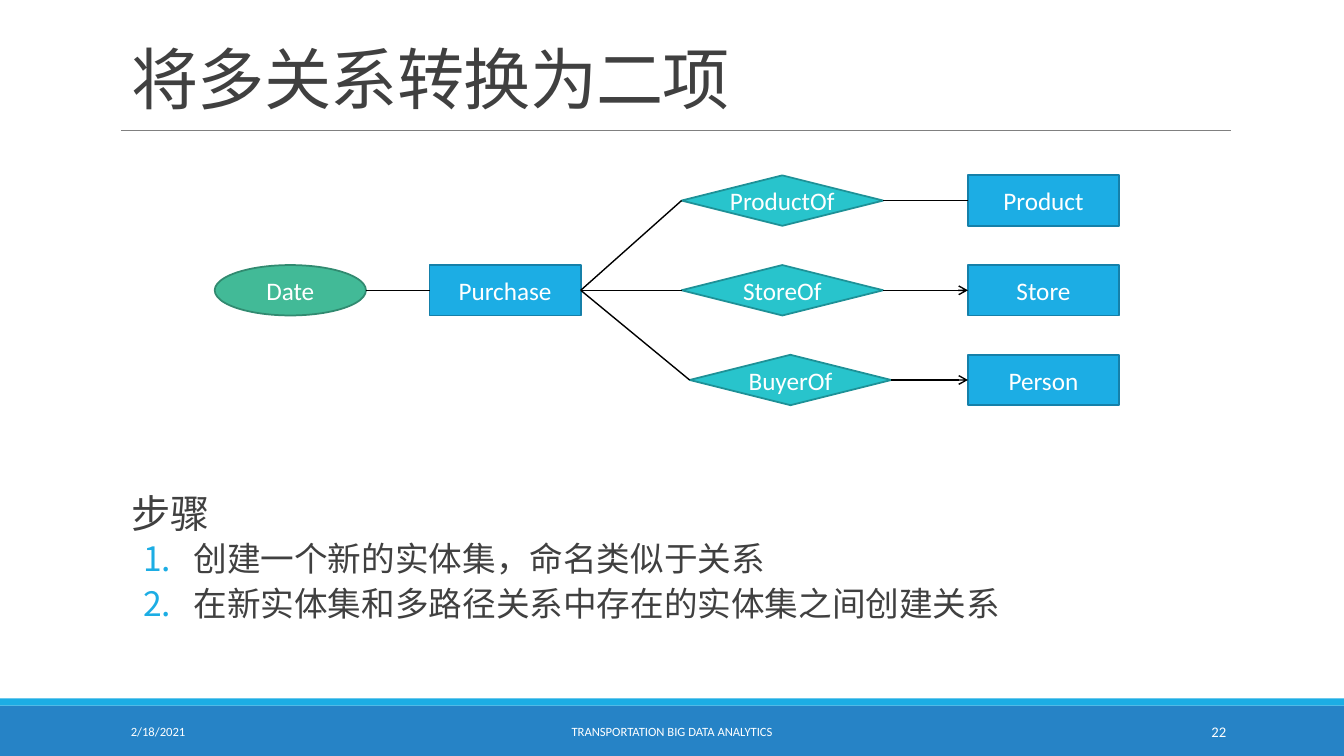
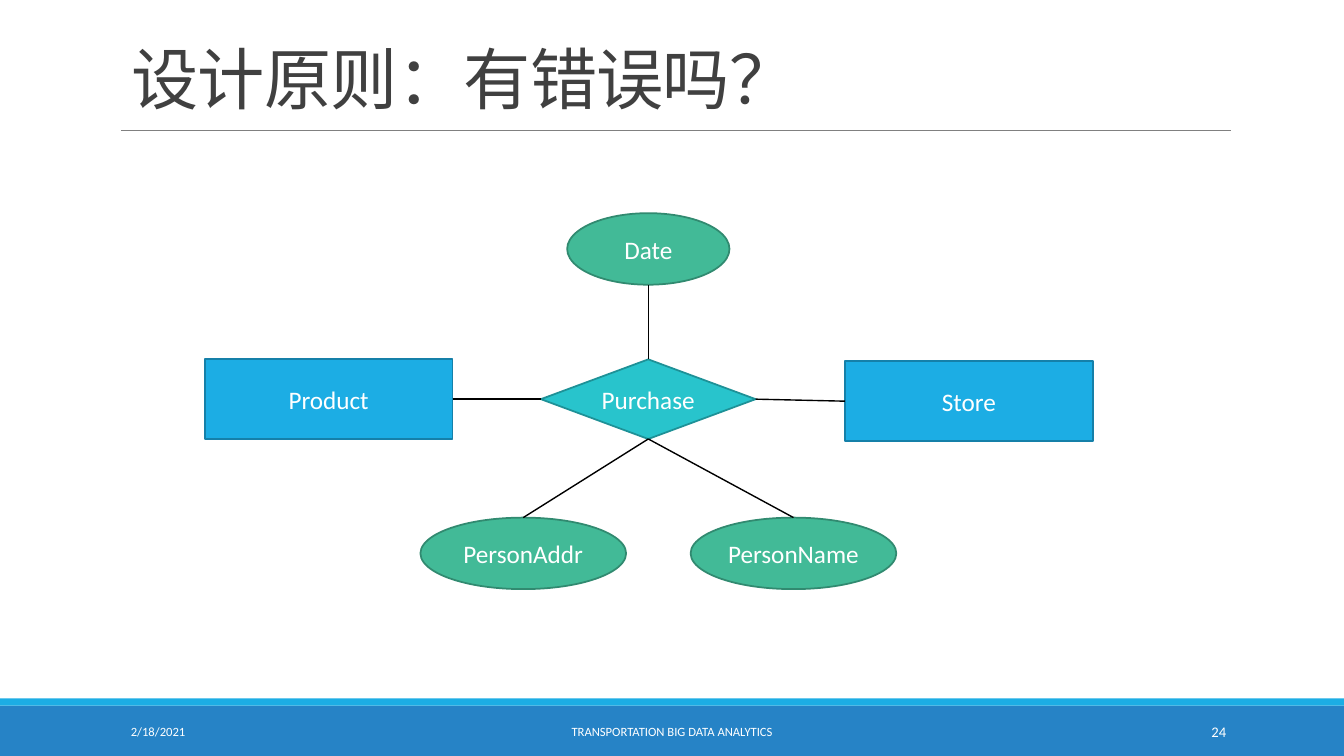
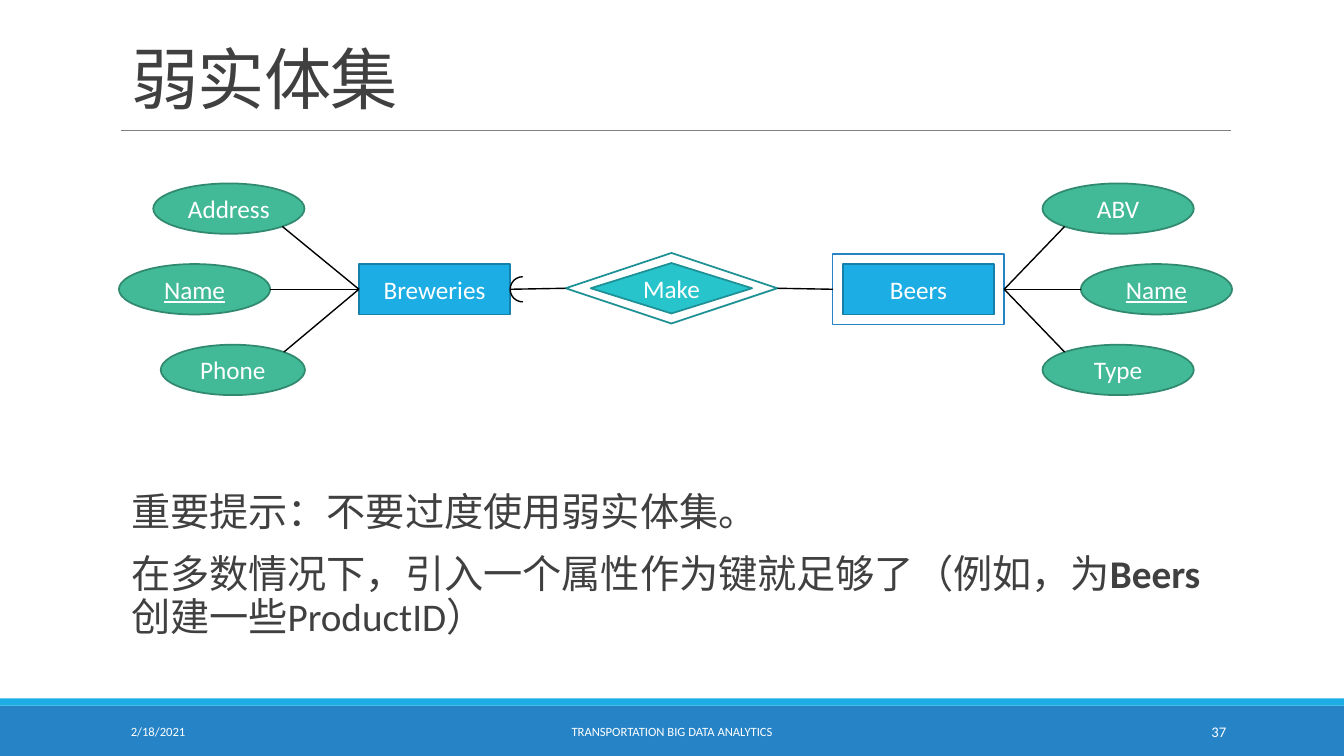
from dataclasses import dataclass
from math import sqrt

from lxml.etree import SubElement
from pptx import Presentation
from pptx.dml.color import RGBColor
from pptx.enum.shapes import MSO_CONNECTOR, MSO_SHAPE
from pptx.enum.text import MSO_ANCHOR as Anchor, PP_ALIGN as Align
from pptx.oxml.ns import qn
from pptx.util import Inches, Pt

SLIDE_WIDTH, SLIDE_HEIGHT = 13.33, 7.5
MARGIN, CONTENT_WIDTH = 1.2, 11
FONT = "Calibri"
COLORS = {
    "entity": "1CADE4", "entity_line": "1580A9",
    "relation": "28C4CC", "relation_line": "1E9197",
    "attribute": "42BA97", "attribute_line": "318A70",
    "band": "2683C6", "strip": "1CADE4", "rule": "808080",
    "text": "404040", "white": "FFFFFF", "link": "000000",
}
NODE_SHAPES = {
    "entity": MSO_SHAPE.RECTANGLE,
    "relation": MSO_SHAPE.DIAMOND,
    "attribute": MSO_SHAPE.OVAL,
}
# Direction from a node's centre, in half widths and half heights
DIAGONAL = 1 / sqrt(2)
SIDES = {
    "left": (-1, 0), "right": (1, 0), "top": (0, -1), "bottom": (0, 1),
    "top left": (-DIAGONAL, -DIAGONAL), "top right": (DIAGONAL, -DIAGONAL),
    "bottom left": (-DIAGONAL, DIAGONAL), "bottom right": (DIAGONAL, DIAGONAL),
}


@dataclass
class Node:
    x: float
    y: float
    width: float
    height: float

    def side(self, name):
        across, down = SIDES[name]
        return self.x + across * self.width / 2, self.y + down * self.height / 2


def rgb(name):
    return RGBColor.from_string(COLORS[name])


def style(run, size, color, bold=False, underline=False):
    font = run.font
    font.name, font.size, font.color.rgb = FONT, Pt(size), rgb(color)
    font.bold, font.underline = bold, underline


def add_shape(slide, kind, box, fill=None, line=None, line_width=1.25):
    shape = slide.shapes.add_shape(kind, *map(Inches, box))
    shape.shadow.inherit = False
    if fill:
        shape.fill.solid()
        shape.fill.fore_color.rgb = rgb(fill)
    else:
        shape.fill.background()
    if line:
        shape.line.color.rgb = rgb(line)
        shape.line.width = Pt(line_width)
    else:
        shape.line.fill.background()
    return shape


def add_line(slide, start, end, color="link", width=1, arrow=False):
    points = map(Inches, (*start, *end))
    connector = slide.shapes.add_connector(MSO_CONNECTOR.STRAIGHT, *points)
    connector.line.color.rgb = rgb(color)
    connector.line.width = Pt(width)
    properties = connector._element.spPr
    if arrow:
        SubElement(properties.find(qn("a:ln")), qn("a:tailEnd"), type="arrow")
    SubElement(properties, qn("a:effectLst"))


class Diagram:
    """Entity diagram whose nodes are centred at offsets from left and top."""

    def __init__(self, slide, left, top):
        self.slide, self.left, self.top = slide, left, top

    def node(self, kind, text, x, y, width=1.5, height=0.5, key=False, line_width=1.25):
        node = Node(self.left + x, self.top + y, width, height)
        box = (*self.corner(node), width, height)
        shape = add_shape(self.slide, NODE_SHAPES[kind], box, kind, kind + "_line", line_width)
        frame = shape.text_frame
        frame.text = text
        frame.word_wrap = False
        frame.vertical_anchor = Anchor.MIDDLE
        frame.paragraphs[0].alignment = Align.CENTER
        style(frame.paragraphs[0].runs[0], 18, "white", underline=key)
        return node

    def outline(self, kind, node, gap_x, gap_y, line, line_width=1.25):
        outer = Node(node.x, node.y, node.width + 2 * gap_x, node.height + 2 * gap_y)
        box = (*self.corner(outer), outer.width, outer.height)
        add_shape(self.slide, NODE_SHAPES[kind], box, line=line, line_width=line_width)
        return outer

    def link(self, first, first_side, second, second_side, arrow=False):
        add_line(self.slide, first.side(first_side), second.side(second_side), arrow=arrow)

    @staticmethod
    def corner(node):
        return node.x - node.width / 2, node.y - node.height / 2


# Title, bands and footer
def add_title(slide, text):
    title = slide.shapes.title
    title.left, title.top = Inches(MARGIN), Inches(0.13)
    title.width, title.height = Inches(CONTENT_WIDTH), Inches(1.09)
    frame = title.text_frame
    frame.text = text
    frame.word_wrap = True
    frame.vertical_anchor = Anchor.BOTTOM
    paragraph = frame.paragraphs[0]
    paragraph.alignment, paragraph.line_spacing = Align.LEFT, 0.85
    style(paragraph.runs[0], 48, "text")
    paragraph.runs[0]._r.get_or_add_rPr().set("spc", "-50")
    add_line(slide, (MARGIN, 1.29), (12.21, 1.29), "rule", 0.5)


def add_footer(slide, number):
    band_top, strip_height = 7, 0.07
    add_shape(slide, MSO_SHAPE.RECTANGLE,
              (0, band_top, SLIDE_WIDTH, SLIDE_HEIGHT - band_top), "band")
    add_shape(slide, MSO_SHAPE.RECTANGLE,
              (0, band_top - strip_height, SLIDE_WIDTH, strip_height), "strip")
    for text, left, width, size, alignment in (
        ("2/18/2021", MARGIN, 2.7, 9, Align.LEFT),
        ("TRANSPORTATION BIG DATA ANALYTICS", 4.03, 5.27, 9, Align.CENTER),
        (str(number), 10.83, 1.43, 10.5, Align.RIGHT),
    ):
        box = map(Inches, (left, band_top + 0.06, width, 0.4))
        frame = slide.shapes.add_textbox(*box).text_frame
        frame.text = text
        frame.word_wrap = True
        frame.vertical_anchor = Anchor.MIDDLE
        frame.paragraphs[0].alignment = alignment
        style(frame.paragraphs[0].runs[0], size, "white")


def new_slide(presentation, title, number):
    slide = presentation.slides.add_slide(presentation.slide_layouts[5])
    add_title(slide, title)
    add_footer(slide, number)
    return slide


# Body text: each paragraph is (numbered, [(text, bold), ...])
def add_body(slide, top, height, paragraphs):
    box = map(Inches, (MARGIN, top, CONTENT_WIDTH, height))
    frame = slide.shapes.add_textbox(*box).text_frame
    frame.word_wrap = True
    frame.margin_left = frame.margin_right = 0
    for index, (numbered, runs) in enumerate(paragraphs):
        paragraph = frame.add_paragraph() if index else frame.paragraphs[0]
        properties = paragraph._p.get_or_add_pPr()
        properties.set("marL", str(Inches(0.72 if numbered else 0.1)))
        if numbered:
            properties.set("indent", str(Inches(-0.5)))
            bullet_color = SubElement(properties, qn("a:buClr"))
            SubElement(bullet_color, qn("a:srgbClr"), val=COLORS["entity"])
            SubElement(properties, qn("a:buFont"), typeface=FONT)
            SubElement(properties, qn("a:buAutoNum"), type="arabicPeriod")
        paragraph.line_spacing = 0.9
        if index:
            paragraph.space_before = Pt(2 if numbered else 12)
        paragraph.space_after = Pt(4 if numbered else 2)
        for text, bold in runs:
            run = paragraph.add_run()
            run.text = text
            style(run, 24 if numbered else 28, "text", bold)


# Purchase as an entity with three binary relations
def draw_binary_relations(slide, left, top):
    diagram = Diagram(slide, left, top)
    row_pitch, first_row = 0.89, 0.25
    middle = first_row + row_pitch
    date = diagram.node("attribute", "Date", 0.75, middle)
    purchase = diagram.node("entity", "Purchase", 2.88, middle)
    diagram.link(date, "right", purchase, "left")
    for row, (relation_name, entity_name, x, arrow) in enumerate((
        ("ProductOf", "Product", 5.63, False),
        ("StoreOf", "Store", 5.63, True),
        ("BuyerOf", "Person", 5.71, True),
    )):
        y = first_row + row * row_pitch
        relation = diagram.node("relation", relation_name, x, y, 2)
        entity = diagram.node("entity", entity_name, 8.22, y)
        diagram.link(purchase, "right", relation, "left")
        diagram.link(relation, "right", entity, "left", arrow)


# Purchase as a relation that carries the person's attributes
def draw_purchase_relation(slide, left, top):
    diagram = Diagram(slide, left, top)
    centre, middle, bottom = 4.4, 1.85, 3.38
    purchase = diagram.node("relation", "Purchase", centre, middle, 2.13, 0.79)
    product = diagram.node("entity", "Product", 1.23, middle, 2.46, 0.79)
    store = diagram.node("entity", "Store", 7.58, middle + 0.02, 2.46, 0.79)
    diagram.link(product, "right", purchase, "left")
    diagram.link(purchase, "right", store, "left")
    for name, x, y, width, side, opposite in (
        ("Date", centre, 0.36, 1.61, "top", "bottom"),
        ("PersonAddr", 3.16, bottom, 2.04, "bottom", "top"),
        ("PersonName", 5.84, bottom, 2.04, "bottom", "top"),
    ):
        attribute = diagram.node("attribute", name, x, y, width, 0.71)
        diagram.link(purchase, side, attribute, opposite)


# Weak entity with double outlines
def draw_weak_entity(slide, left, top):
    diagram = Diagram(slide, left, top)
    rows = [0.25 + 0.8 * row for row in range(3)]
    breweries = diagram.node("entity", "Breweries", 3.13, rows[1], line_width=1)
    make = diagram.node("relation", "Make", 5.48, rows[1] - 0.01, 1.6)
    beers = diagram.node("entity", "Beers", 7.93, rows[1], line_width=1)
    make_outline = diagram.outline("relation", make, 0.25, 0.1, "relation_line")
    beers_outline = diagram.outline("entity", beers, 0.1, 0.1, "band", 1)
    diagram.link(breweries, "right", make_outline, "left")
    diagram.link(make_outline, "right", beers_outline, "left")

    for owner, side, facing, attributes in (
        (breweries, "left", "right",
         (("Address", 1.09, 1.5), ("Name", 0.75, 1.5), ("Phone", 1.13, 1.43))),
        (beers_outline, "right", "left",
         (("ABV", 9.91, 1.5), ("Name", 10.29, 1.5), ("Type", 9.91, 1.5))),
    ):
        facing_sides = ("bottom " + facing, facing, "top " + facing)
        for (name, x, width), y, facing_side in zip(attributes, rows, facing_sides):
            attribute = diagram.node("attribute", name, x, y, width, key=name == "Name")
            diagram.link(owner, side, attribute, facing_side)

    # Half circle marking exactly one brewery, from 90 to 270 degrees
    size = 0.25
    x, y = breweries.side("right")
    arc = add_shape(slide, MSO_SHAPE.ARC, (x, y - size / 2, size, size),
                    line="link", line_width=1)
    arc.adjustments[0], arc.adjustments[1] = 54, 162


def main():
    presentation = Presentation()
    presentation.slide_width = Inches(SLIDE_WIDTH)
    presentation.slide_height = Inches(SLIDE_HEIGHT)

    slide = new_slide(presentation, "将多关系转换为二项", 22)
    draw_binary_relations(slide, 2.13, 1.74)
    add_body(slide, 4.86, 2.03, [
        (False, [("步骤", False)]),
        (True, [("创建一个新的实体集，命名类似于关系", False)]),
        (True, [("在新实体集和多路径关系中存在的实体集之间创建关系", False)]),
    ])

    slide = new_slide(presentation, "设计原则：有错误吗？", 24)
    draw_purchase_relation(slide, 2.03, 2.11)

    slide = new_slide(presentation, "弱实体集", 37)
    draw_weak_entity(slide, 1.18, 1.82)
    add_body(slide, 4.84, 2.05, [
        (False, [("重要提示：不要过度使用弱实体集。", False)]),
        (False, [("在多数情况下，引入一个属性作为键就足够了（例如，为", False),
                 ("Beers", True), ("创建一些ProductID）", False)]),
    ])

    presentation.save("out.pptx")


if __name__ == "__main__":
    main()
